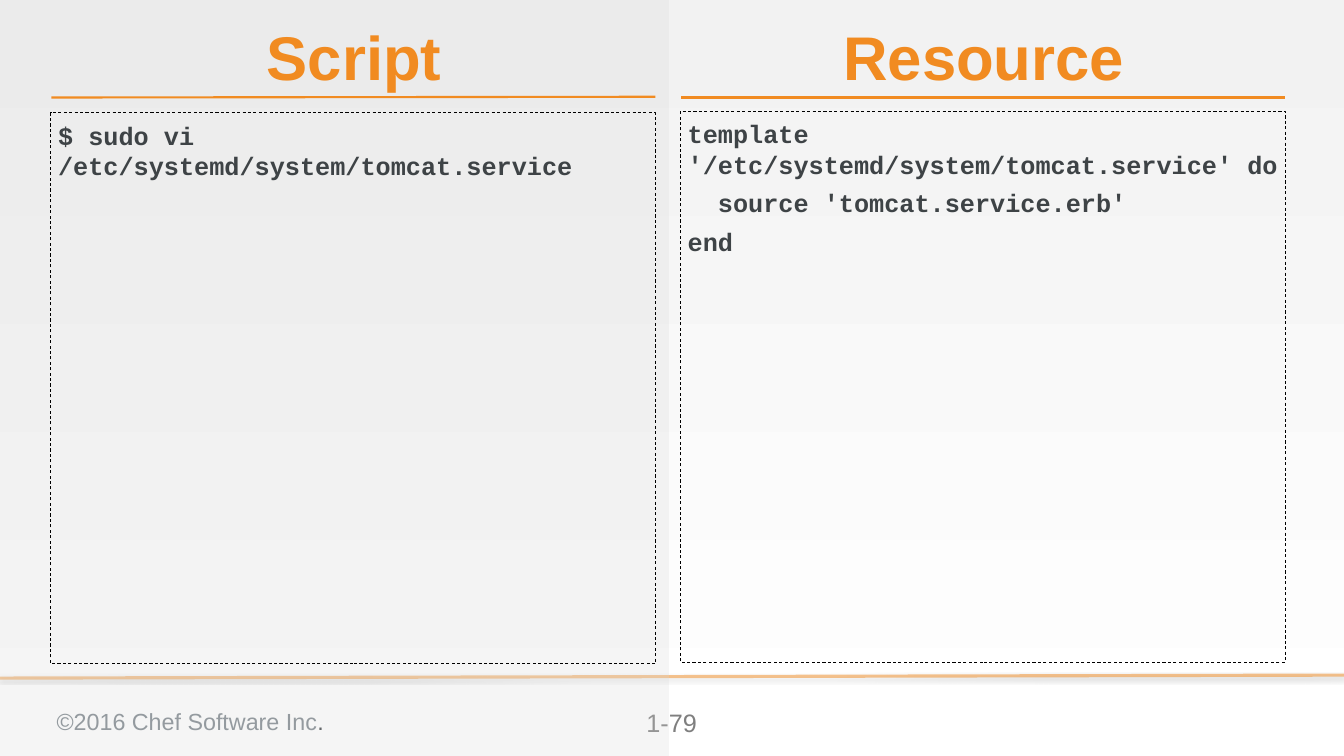
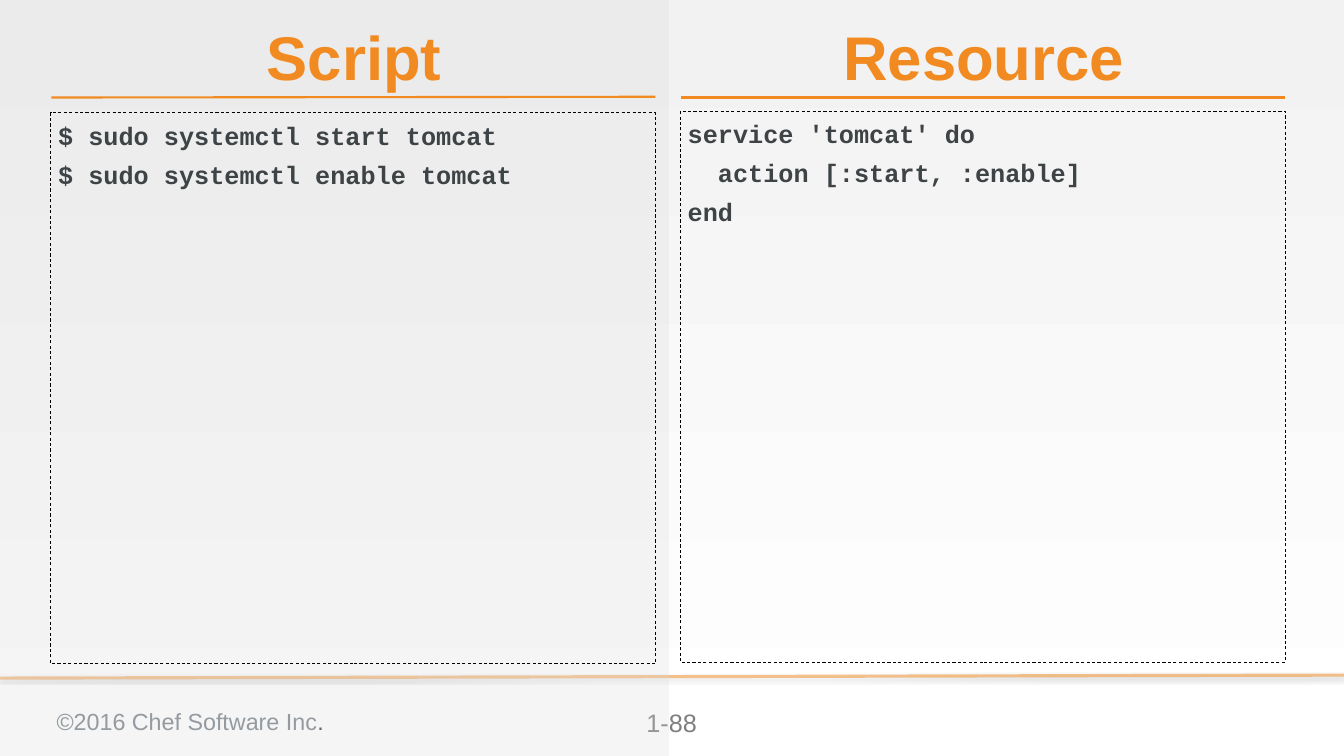
import dataclasses
import typing

import lxml.etree
import pptx
import pptx.dml.color
import pptx.enum.dml
import pptx.enum.shapes
import pptx.enum.text
import pptx.oxml.ns
import pptx.util

Inches = pptx.util.Inches
Pt = pptx.util.Pt
RGBColor = pptx.dml.color.RGBColor
Align = pptx.enum.text.PP_ALIGN
Anchor = pptx.enum.text.MSO_ANCHOR
RECT = pptx.enum.shapes.MSO_SHAPE.RECTANGLE
qn = pptx.oxml.ns.qn

ORANGE = RGBColor(0xF1, 0x8B, 0x21)
SLATE = RGBColor(0x7D, 0x86, 0x8C)
DARK = RGBColor(0x3E, 0x43, 0x46)
GRAY = RGBColor(0x7F, 0x7F, 0x7F)
PANEL = RGBColor(0xD9, 0xD9, 0xD9)
PALE = RGBColor(0xF2, 0xF2, 0xF2)
WHITE = RGBColor(0xFF, 0xFF, 0xFF)
BLACK = RGBColor(0, 0, 0)

WIDE, HIGH = 17.78, 10


@dataclasses.dataclass(frozen=True)
class Style:
    font: str
    size: float
    color: RGBColor
    bold: bool = False


@dataclasses.dataclass(frozen=True)
class Column:
    head: str
    left: float
    head_top: float
    box_top: float
    rule: tuple[float, float, float, float]


@dataclasses.dataclass(frozen=True)
class Page:
    number: str
    script: tuple[str, ...]
    resource: tuple[str, ...]


HEAD = Style("Arial", 58.7, ORANGE, True)
CODE = Style("Courier New", 24, DARK, True)
NOTE = Style("Arial", 22.2, SLATE)
STOP = Style("Arial", 22.2, DARK)
NUMBER = Style("Arial", 24, GRAY)

SCRIPT = Column("Script", 0.67, 0.29, 1.49, (0.68, 1.29, 8.67, 1.28))
RESOURCE = Column("Resource", 9, 0.28, 1.47, (9.01, 1.29, 17, 1.29))
COLUMNS = (SCRIPT, RESOURCE)

PAGES = (
    Page(
        "1-79",
        ("$ sudo vi /etc/systemd/system/tomcat.service",),
        (
            "template '/etc/systemd/system/tomcat.service' do",
            "  source 'tomcat.service.erb'",
            "end",
        ),
    ),
    Page(
        "1-88",
        ("$ sudo systemctl start tomcat", "$ sudo systemctl enable tomcat"),
        ("service 'tomcat' do", "  action [:start, :enable]", "end"),
    ),
)


def place(shape: typing.Any, left: float, top: float, width: float, height: float) -> None:
    shape.left, shape.top = Inches(left), Inches(top)
    shape.width, shape.height = Inches(width), Inches(height)


def set_frame(shape: typing.Any, insets: tuple[float, ...], anchor: Anchor = Anchor.TOP) -> typing.Any:
    frame = shape.text_frame
    frame.word_wrap = True
    frame.auto_size = pptx.enum.text.MSO_AUTO_SIZE.NONE
    frame.vertical_anchor = anchor
    frame.margin_left, frame.margin_top, frame.margin_right, frame.margin_bottom = map(Inches, insets)
    return frame


def add_run(para: typing.Any, text: str, style: Style) -> None:
    run = para.add_run()
    run.text = text
    run.font.name = style.font
    run.font.size = Pt(style.size)
    run.font.bold = style.bold
    run.font.color.rgb = style.color


def set_alpha(fill: typing.Any, percent: int) -> None:
    color = fill.find(".//" + qn("a:srgbClr"))
    lxml.etree.SubElement(color, qn("a:alpha"), val=str(percent * 1000))


def add_line(slide: typing.Any, ends: tuple[float, ...], weight: float) -> tuple[typing.Any, typing.Any]:
    line = slide.shapes.add_connector(pptx.enum.shapes.MSO_CONNECTOR.STRAIGHT, *map(Inches, ends))
    line.line.color.rgb = ORANGE
    line.line.width = Pt(weight)
    effect = lxml.etree.SubElement(line.element.spPr, qn("a:effectLst"))
    return line, effect


def add_rect(slide: typing.Any, left: float, top: float, width: float, height: float) -> typing.Any:
    shape = slide.shapes.add_shape(RECT, *map(Inches, (left, top, width, height)))
    shape.shadow.inherit = False
    return shape


def add_label(slide: typing.Any, area: tuple[float, ...], align: Align, *parts: tuple[str, Style]) -> None:
    box = slide.shapes.add_textbox(*map(Inches, area))
    para = set_frame(box, (0.1,) * 4).paragraphs[0]
    para.alignment = align
    for text, style in parts:
        add_run(para, text, style)


def add_base(slide: typing.Any, number: str) -> None:
    fill = slide.background.fill
    fill.gradient()
    fill.gradient_angle = 270
    for stop, color in zip(fill.gradient_stops, (PALE, WHITE)):
        stop.color.rgb = color

    band, effect = add_line(slide, (WIDE, 8.93, 0, 8.97), 3)
    set_alpha(band.element.spPr.find(qn("a:ln")), 50)
    shade = lxml.etree.SubElement(
        effect,
        qn("a:outerShdw"),
        blurRad=str(Pt(3.1)),
        dist=str(Pt(1.8)),
        dir="5400000",
        rotWithShape="0",
    )
    lxml.etree.SubElement(shade, qn("a:srgbClr"), val=str(BLACK))
    set_alpha(shade, 35)

    add_label(
        slide, (0.65, 9.25, 5.9, 0.52), Align.LEFT,
        ("©2016 Chef Software Inc", NOTE), (".", STOP),
    )
    add_label(slide, (8.1, 9.25, 1.57, 0.57), Align.CENTER, (number, NUMBER))

    panel = add_rect(slide, 0, 0, 8.85, HIGH)
    panel.fill.solid()
    panel.fill.fore_color.rgb = PANEL
    set_alpha(panel.element.spPr.find(qn("a:solidFill")), 25)
    panel.line.fill.background()
    for column in COLUMNS:
        add_line(slide, column.rule, 2)


def add_code(slide: typing.Any, column: Column, lines: tuple[str, ...]) -> None:
    box = add_rect(slide, column.left, column.box_top, 8, 7.29)
    box.fill.background()
    box.line.color.rgb = BLACK
    box.line.width = Pt(0.75)
    box.line.dash_style = pptx.enum.dml.MSO_LINE.DASH
    frame = set_frame(box, (0.1, 0.1, 0, 0))
    for index, text in enumerate(lines):
        para = frame.add_paragraph() if index else frame.paragraphs[0]
        para.alignment = Align.LEFT
        para.space_before = Pt(8 if index else 0)
        add_run(para, text, CODE)


def set_head(shape: typing.Any, column: Column) -> None:
    place(shape, column.left - 0.02, column.head_top, 8.07, 0.91)
    para = set_frame(shape, (0,) * 4, Anchor.MIDDLE).paragraphs[0]
    para.alignment = Align.CENTER
    add_run(para, column.head, HEAD)


def add_page(deck: typing.Any, page: Page) -> None:
    slide = deck.slides.add_slide(deck.slide_layouts[5])
    add_base(slide, page.number)
    for column, lines in zip(COLUMNS, (page.script, page.resource)):
        add_code(slide, column, lines)
    title = slide.shapes.title
    title.element.getparent().append(title.element)
    set_head(title, SCRIPT)
    set_head(slide.shapes.add_textbox(0, 0, 0, 0), RESOURCE)


def main() -> None:
    deck = pptx.Presentation()
    deck.slide_width, deck.slide_height = Inches(WIDE), Inches(HIGH)
    for page in PAGES:
        add_page(deck, page)
    deck.save("out.pptx")


if __name__ == "__main__":
    main()
